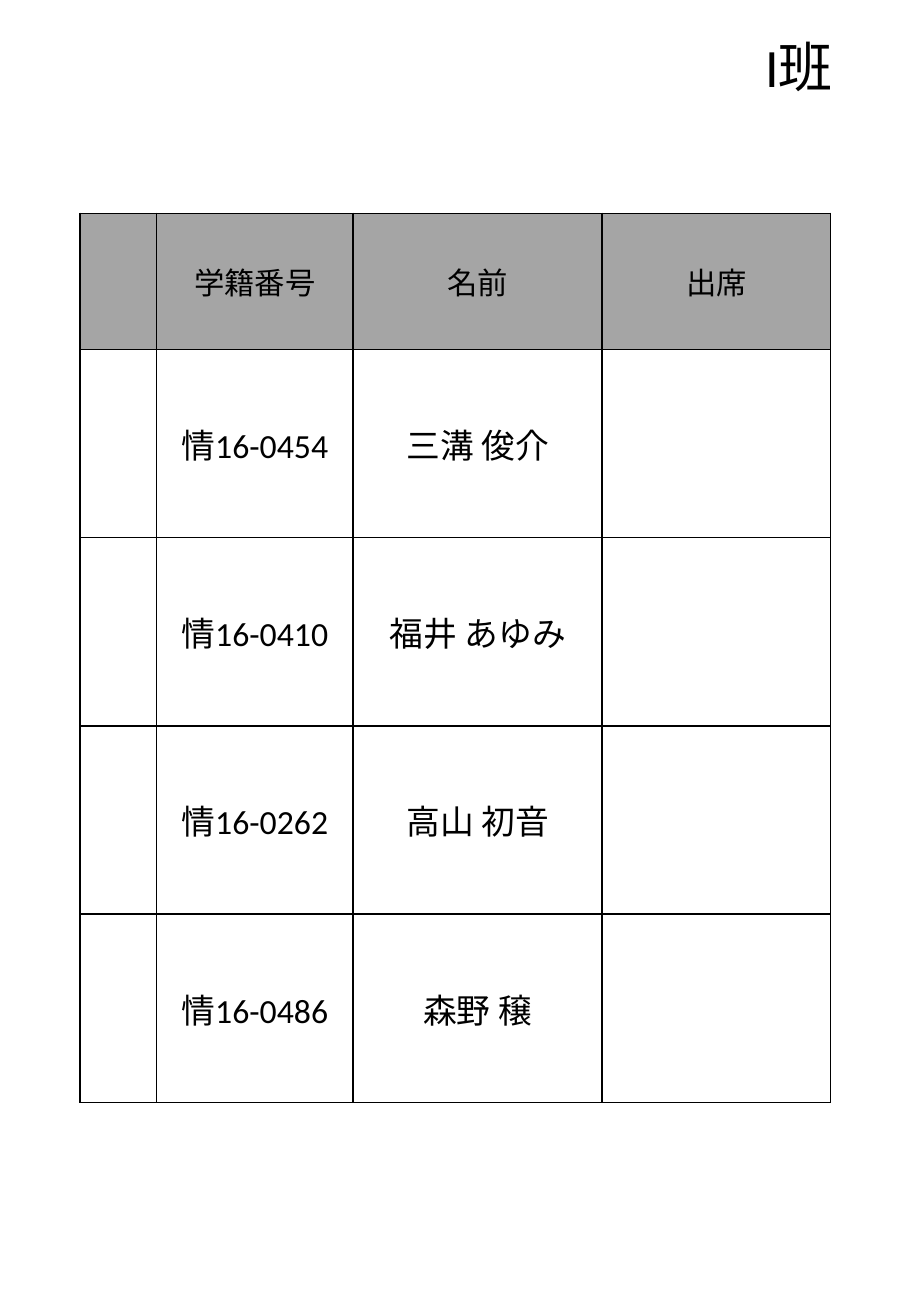
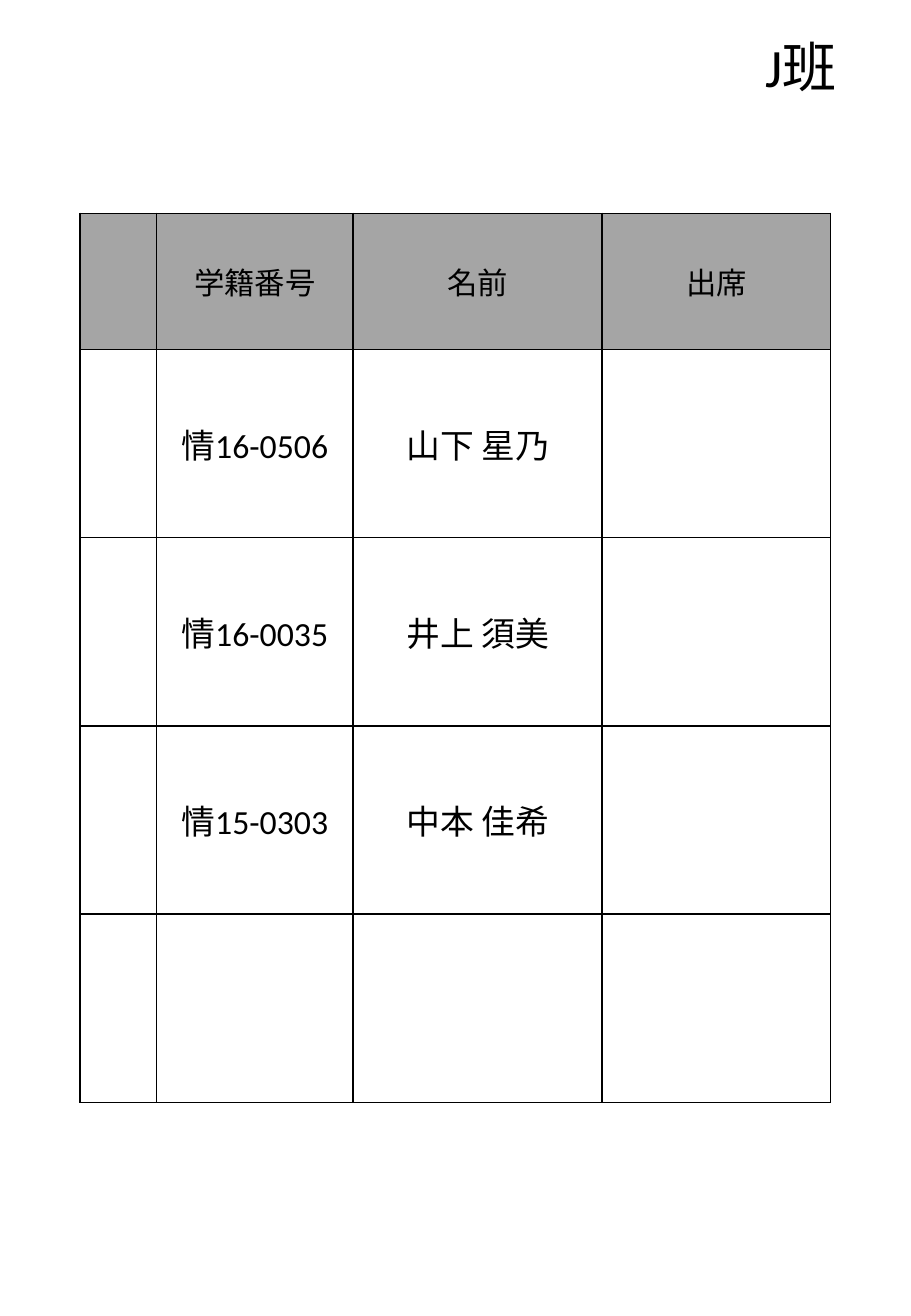
from dataclasses import dataclass

from lxml import etree
from pptx import Presentation
from pptx.dml.color import RGBColor
from pptx.enum import lang, text
from pptx.oxml import ns
from pptx.util import Pt


@dataclass(frozen=True)
class Theme:
    font: str = "Calibri"
    ink: str = "000000"
    header_fill: str = "A5A5A5"
    body_fill: str = "FFFFFF"
    title_size: int = 32
    header_size: int = 18
    body_size: int = 20
    border: int = 1


HEADER = ("", "学籍番号", "名前", "出席")
COLUMNS = (45.4, 116.6, 147.6, 135.4)
HEADER_HEIGHT, ROW_HEIGHT = 80.6, 111.6
MEMBER_ROWS = 4

GROUPS = {
    "I班": [
        ("情16-0454", "三溝 俊介"),
        ("情16-0410", "福井 あゆみ"),
        ("情16-0262", "高山 初音"),
        ("情16-0486", "森野 穣"),
    ],
    "J班": [
        ("情16-0506", "山下 星乃"),
        ("情16-0035", "井上 須美"),
        ("情15-0303", "中本 佳希"),
    ],
}


class Roster:
    def __init__(self, theme):
        self.theme = theme
        self.prs = Presentation()
        self.prs.slide_width, self.prs.slide_height = Pt(540), Pt(780)
        self.slide = None

    def add_slide(self):
        self.slide = self.prs.slides.add_slide(self.prs.slide_layouts[6])

    def add_run(self, p, words, size):
        r = p.add_run()
        r.text = words
        r.font.name = self.theme.font
        r.font.size = Pt(size)
        r.font.bold = False
        r.font.color.rgb = RGBColor.from_string(self.theme.ink)
        r.font.language_id = lang.MSO_LANGUAGE_ID.JAPANESE

    def title(self, words):
        sp = self.slide.shapes.add_textbox(Pt(446.4), Pt(16.6), Pt(73.4), Pt(46))
        tf = sp.text_frame
        tf.word_wrap = True
        tf.auto_size = text.MSO_AUTO_SIZE.SHAPE_TO_FIT_TEXT
        self.add_run(tf.paragraphs[0], words, self.theme.title_size)

    def borders(self, cell):
        tc_pr = cell._tc.get_or_add_tcPr()
        for side in ("a:lnL", "a:lnR", "a:lnT", "a:lnB"):
            ln = etree.SubElement(tc_pr, ns.qn(side), w=str(Pt(self.theme.border)))
            fill = etree.SubElement(ln, ns.qn("a:solidFill"))
            etree.SubElement(fill, ns.qn("a:srgbClr"), val=self.theme.ink)

    def cell(self, cell, words, size, fill):
        cell.margin_left = cell.margin_right = Pt(5)
        cell.margin_top = cell.margin_bottom = Pt(2.5)
        cell.vertical_anchor = text.MSO_ANCHOR.MIDDLE
        self.borders(cell)
        cell.fill.solid()
        cell.fill.fore_color.rgb = RGBColor.from_string(fill)
        if words:
            p = cell.text_frame.paragraphs[0]
            p.alignment = text.PP_ALIGN.CENTER
            self.add_run(p, words, size)

    def table(self, members):
        """Attendance table; rows without a member stay empty."""
        t = self.theme
        heights = [HEADER_HEIGHT] + [ROW_HEIGHT] * MEMBER_ROWS
        blanks = [("", "")] * (MEMBER_ROWS - len(members))
        rows = [HEADER] + [("", *member, "") for member in members + blanks]
        table = self.slide.shapes.add_table(
            len(rows), len(COLUMNS), Pt(47.4), Pt(126.4),
            Pt(sum(COLUMNS)), Pt(sum(heights))).table
        table.first_row = table.horz_banding = False
        for column, width in zip(table.columns, COLUMNS):
            column.width = Pt(width)
        for i, (row, height) in enumerate(zip(rows, heights)):
            table.rows[i].height = Pt(height)
            size, fill = ((t.body_size, t.body_fill) if i
                          else (t.header_size, t.header_fill))
            for j, words in enumerate(row):
                self.cell(table.cell(i, j), words, size, fill)


def main():
    roster = Roster(Theme())
    for name, members in GROUPS.items():
        roster.add_slide()
        roster.table(members)
        roster.title(name)
    roster.prs.save("out.pptx")


if __name__ == "__main__":
    main()
